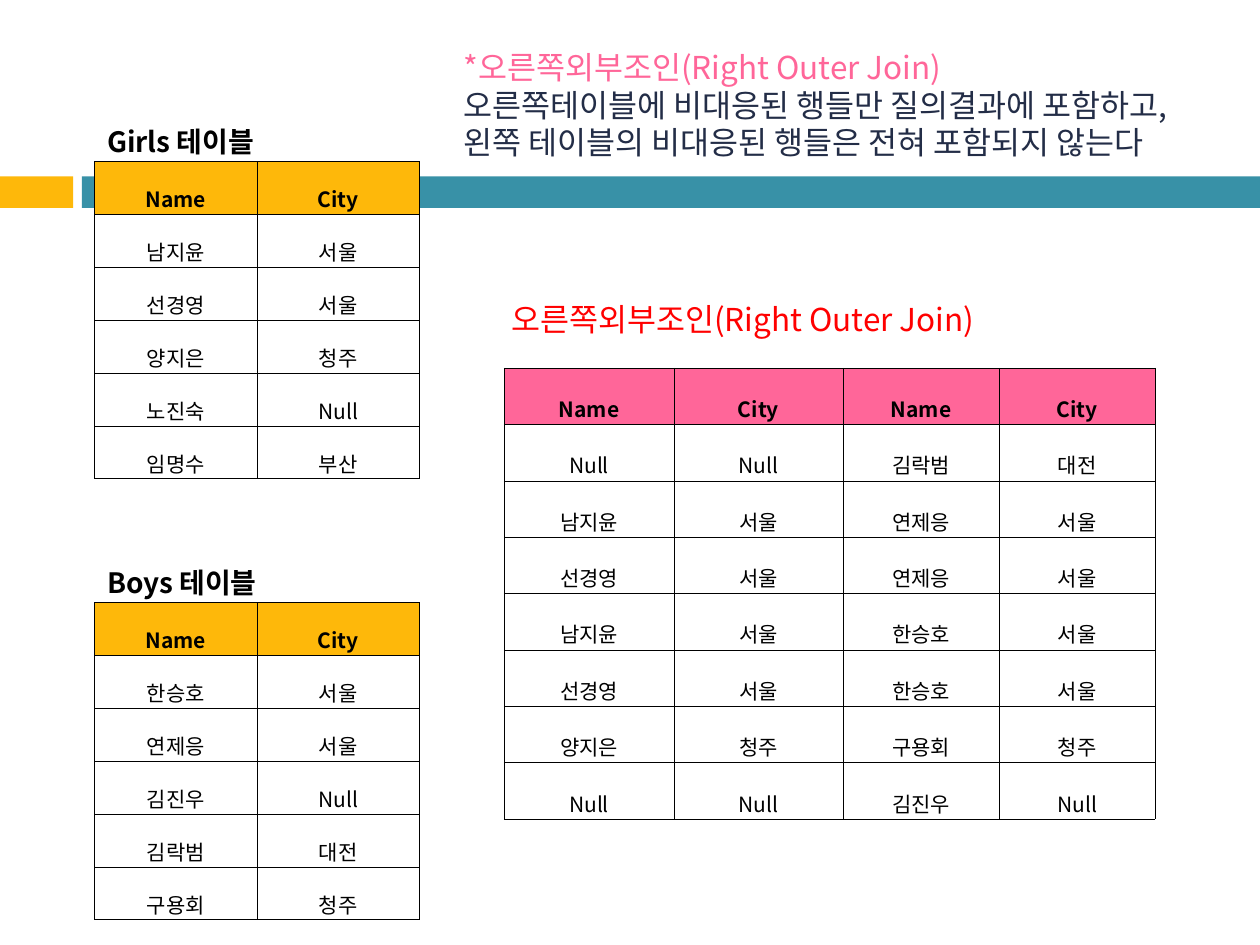
import lxml.etree
import pptx
import pptx.dml.color
import pptx.enum.shapes
import pptx.enum.text
import pptx.oxml
import pptx.oxml.ns
import pptx.util

Inches = pptx.util.Inches
FONT = "Noto Sans CJK KR"
GOLD, TEAL, PINK, BLACK = "FEB80A", "3891A7", "FF6699", "000000"
qn = pptx.oxml.ns.qn


def color(hex_value):
    return pptx.dml.color.RGBColor.from_string(hex_value)


def format_paragraph(paragraph, size, hex_value, bold=False):
    for run in paragraph.runs:
        run.font.size = pptx.util.Pt(size)
        run.font.bold = bold
        run.font.name = FONT
        run.font.color.rgb = color(hex_value)
        lxml.etree.SubElement(run.font._element, qn("a:ea"), typeface=FONT)


presentation = pptx.Presentation()
presentation.slide_width = Inches(10)
presentation.slide_height = Inches(7.5)
slide = presentation.slides.add_slide(presentation.slide_layouts[6])

for left, width, fill in [(0, 0.58, GOLD), (0.65, 9.35, TEAL)]:
    band = slide.shapes.add_shape(
        pptx.enum.shapes.MSO_SHAPE.RECTANGLE,
        Inches(left), Inches(1.4), Inches(width), Inches(0.25))
    band.shadow.inherit = False
    band.fill.solid()
    band.fill.fore_color.rgb = color(fill)
    band.line.fill.background()

girls = [["Girls 테이블", ""], ["Name", "City"], ["남지윤", "서울"], ["선경영", "서울"],
         ["양지은", "청주"], ["노진숙", "Null"], ["임명수", "부산"]]
boys = [["Boys 테이블", ""], ["Name", "City"], ["한승호", "서울"], ["연제응", "서울"],
        ["김진우", "Null"], ["김락범", "대전"], ["구용회", "청주"]]
joined = [["Name", "City", "Name", "City"],
          ["Null", "Null", "김락범", "대전"],
          ["남지윤", "서울", "연제응", "서울"],
          ["선경영", "서울", "연제응", "서울"],
          ["남지윤", "서울", "한승호", "서울"],
          ["선경영", "서울", "한승호", "서울"],
          ["양지은", "청주", "구용회", "청주"],
          ["Null", "Null", "김진우", "Null"]]

source_columns = [1.29, 1.29]
source_height = 3.05
source_heights = [0.53] + [(source_height - 0.53) / 6] * 6
tables = [
    (girls, 0.75, 0.75, source_columns, source_heights, 1, GOLD, 0.03),
    (boys, 0.75, 4.25, source_columns, source_heights, 1, GOLD, 0.03),
    (joined, 4, 2.92, [1.35, 1.34, 1.24, 1.24], [3.58 / 8] * 8, 0, PINK, 0.05),
]
for rows, left, top, widths, heights, header, header_fill, margin_top in tables:
    table = slide.shapes.add_table(
        len(rows), len(widths), Inches(left), Inches(top),
        Inches(sum(widths)), Inches(sum(heights))).table
    table.first_row = False
    table.horz_banding = False
    for column, width in zip(table.columns, widths):
        column.width = Inches(width)
    for row, height in zip(table.rows, heights):
        row.height = Inches(height)
    for row_index, values in enumerate(rows):
        is_title = row_index < header
        is_header = row_index == header
        for column_index, value in enumerate(values):
            cell = table.cell(row_index, column_index)
            cell.vertical_anchor = pptx.enum.text.MSO_ANCHOR.MIDDLE
            cell.margin_top = Inches(0.01 if is_title else margin_top)
            cell.margin_bottom = 0
            properties = cell._tc.get_or_add_tcPr()
            for side in ["L", "R", "T", "B"]:
                border = lxml.etree.SubElement(properties, qn("a:ln" + side), w="1397")
                if is_title and side != "B":
                    lxml.etree.SubElement(border, qn("a:noFill"))
                else:
                    line_fill = lxml.etree.SubElement(border, qn("a:solidFill"))
                    lxml.etree.SubElement(line_fill, qn("a:srgbClr"), val=BLACK)
            if is_header:
                cell.fill.solid()
                cell.fill.fore_color.rgb = color(header_fill)
            else:
                cell.fill.background()
            cell.text_frame.text = value
            paragraph = cell.text_frame.paragraphs[0]
            paragraph.line_spacing = 1.6
            paragraph.font.size = pptx.util.Pt(12)
            alignment = pptx.enum.text.PP_ALIGN
            paragraph.alignment = alignment.JUSTIFY if is_title else alignment.CENTER
            format_paragraph(paragraph, 16 if is_title else 12, BLACK, is_title or is_header)
    if header:
        table.cell(0, 0).merge(table.cell(0, 1))

captions = [
    (3.96, 2.33, 4.03, 0.4, False, [("오른쪽외부조인(Right Outer Join)", "FF0000")]),
    (3.58, 0.33, 6.08, 1.3, True, [
        ("*오른쪽외부조인(Right Outer Join)", PINK),
        ("오른쪽테이블에 비대응된 행들만 질의결과에 포함하고, "
         "왼쪽 테이블의 비대응된 행들은 전혀 포함되지 않는다", "232D47")]),
]
for left, top, width, height, wrap, lines in captions:
    text_frame = slide.shapes.add_textbox(
        Inches(left), Inches(top), Inches(width), Inches(height)).text_frame
    text_frame.word_wrap = wrap
    text_frame.auto_size = pptx.enum.text.MSO_AUTO_SIZE.SHAPE_TO_FIT_TEXT
    text_frame.text = "\n".join(text for text, hex_value in lines)
    for paragraph, (text, hex_value) in zip(text_frame.paragraphs, lines):
        format_paragraph(paragraph, 18, hex_value)

presentation.save("out.pptx")
